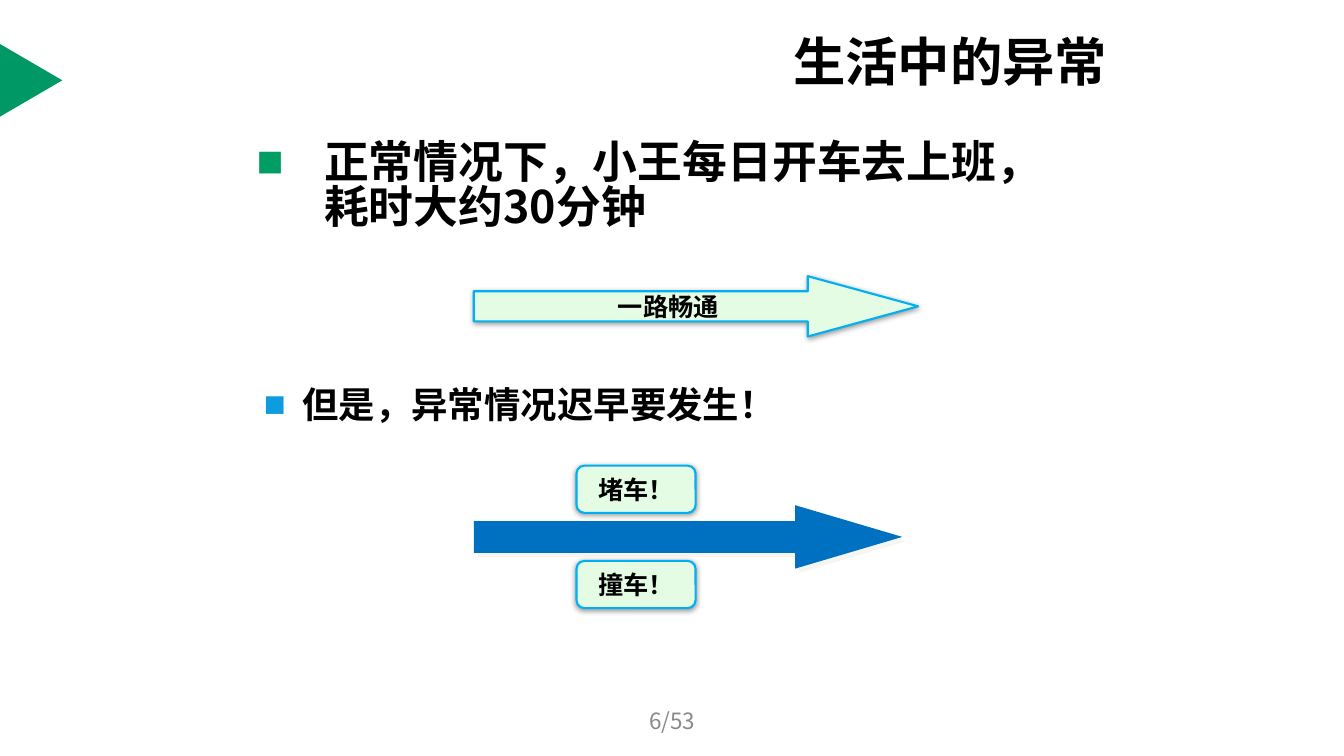
from lxml import etree
from pptx import Presentation
from pptx import util as u
from pptx.dml.color import RGBColor
from pptx.enum import shapes, text
from pptx.oxml.ns import qn

# Content: lengths in cm, sizes in points
COLORS = {"black": "000000", "grey": "898989", "green": "009966",
          "bullet_green": "009E64", "bullet_blue": "0E9CDE", "mint": "E4FCE4",
          "sky": "00B0F0", "blue": "0070C0", "sand": "EEECE1"}
CJK = "Noto Sans CJK SC"
LATIN = "Arial"
TITLE = "生活中的异常"
NORMAL = "正常情况下，小王每日开车去上班，耗时大约30分钟"
ABNORMAL = "但是，异常情况迟早要发生！"
SMOOTH = "一路畅通"
ACCIDENTS = ["堵车！", "撞车！"]
PAGE = "6/53"

ARROW_X = 11.94
BOX_X, BOX_W, BOX_H = 14.53, 3.0, 1.19
BOX_OFFSET = 1.2  # from the middle of the blue arrow to each box centre
# colour, opacity %, blur pt, distance pt, direction in degrees
SOFT_SHADOW = ("black", 40, 4, 1, 90)
SAND_SHADOW = ("sand", 50, 0, 4.2, 45)

PP, MSO = text.PP_ALIGN, text.MSO_ANCHOR
prs = Presentation()
prs.slide_width, prs.slide_height = u.Cm(33.87), u.Cm(19.05)
s = prs.slides.add_slide(prs.slide_layouts[6])


def rgb(name):
    return RGBColor.from_string(COLORS[name])


def write(sp, words, size, font, color="black", bold=True, align=PP.LEFT,
          anchor=MSO.MIDDLE, bullet=None, indent=0, spacing=None):
    tf = sp.text_frame
    tf.word_wrap = True
    tf.vertical_anchor = anchor
    p = tf.paragraphs[0]
    p.text = words
    p.alignment = align
    if spacing:
        p.line_spacing = spacing
    if bullet:
        pPr = p._p.get_or_add_pPr()
        pPr.set("marL", str(u.Cm(indent)))
        pPr.set("indent", str(-u.Cm(indent)))
        clr = etree.SubElement(pPr, qn("a:buClr"))
        etree.SubElement(clr, qn("a:srgbClr"), val=COLORS[bullet])
        etree.SubElement(pPr, qn("a:buFont"), typeface=LATIN)
        etree.SubElement(pPr, qn("a:buChar"), char="■")
    r = p.runs[0]
    r.font.size, r.font.bold, r.font.name = u.Pt(size), bold, font
    r.font.color.rgb = rgb(color)
    r.font._element.find(qn("a:latin")).addnext(
        etree.Element(qn("a:ea"), typeface=CJK))


def add_text(box, words, size, font, **style):
    write(s.shapes.add_textbox(*map(u.Cm, box)), words, size, font, **style)


def add_shape(kind, box, fill, line=None, shadow=None, adj=()):
    sp = s.shapes.add_shape(kind, *map(u.Cm, box))
    for i, value in enumerate(adj):
        sp.adjustments[i] = value
    sp.fill.solid()
    sp.fill.fore_color.rgb = rgb(fill)
    if line:
        sp.line.color.rgb = rgb(line)
        sp.line.width = u.Pt(1.5)
    else:
        sp.line.fill.background()
    sp.shadow.inherit = False
    if shadow:
        color, opacity, blur, dist, angle = shadow
        effects = sp._element.spPr.find(qn("a:effectLst"))
        outer = etree.SubElement(
            effects, qn("a:outerShdw"), blurRad=str(u.Pt(blur)),
            dist=str(u.Pt(dist)), dir=str(angle * 60000), rotWithShape="0")
        clr = etree.SubElement(outer, qn("a:srgbClr"), val=COLORS[color])
        etree.SubElement(clr, qn("a:alpha"), val=str(opacity * 1000))
    return sp


# Title and its marker
marker = add_shape(shapes.MSO_SHAPE.ISOSCELES_TRIANGLE,
                   (-0.13, 1.24, 1.83, 1.57), "green")
marker.rotation = 90
add_text((19.74, 0.79, 9.4, 1.45), TITLE, 37.4, CJK)

# Statements
add_text((6.22, 3.48, 21.23, 13.92), NORMAL, 32, CJK, anchor=MSO.TOP,
         bullet="bullet_green", indent=1.7, spacing=0.83)
add_text((6.4, 9.5, 21.59, 1.6), ABNORMAL, 26, LATIN, anchor=MSO.TOP,
         bullet="bullet_blue", indent=0.97)

# Smooth trip
smooth = add_shape(shapes.MSO_SHAPE.RIGHT_ARROW, (ARROW_X, 6.96, 11.2, 1.52),
                   "mint", "sky", SOFT_SHADOW, (0.5, 1.83))
write(smooth, SMOOTH, 18, LATIN, align=PP.CENTER)

# Disturbed trip, with one box above and one below the arrow
top, height = 12.73, 1.6
add_shape(shapes.MSO_SHAPE.RIGHT_ARROW, (ARROW_X, top, 10.8, height),
          "blue", shadow=SAND_SHADOW, adj=(0.5, 1.69))
for side, words in zip((-1, 1), ACCIDENTS):
    y = top + height / 2 + side * BOX_OFFSET - BOX_H / 2
    sp = add_shape(shapes.MSO_SHAPE.ROUNDED_RECTANGLE,
                   (BOX_X, y, BOX_W, BOX_H), "mint", "sky", SOFT_SHADOW)
    write(sp, words, 18, LATIN, align=PP.CENTER)

# Page number
add_text((11.58, 17.65, 10.72, 1.02), PAGE, 16, CJK, color="grey",
         bold=False, align=PP.CENTER)

prs.save("out.pptx")
